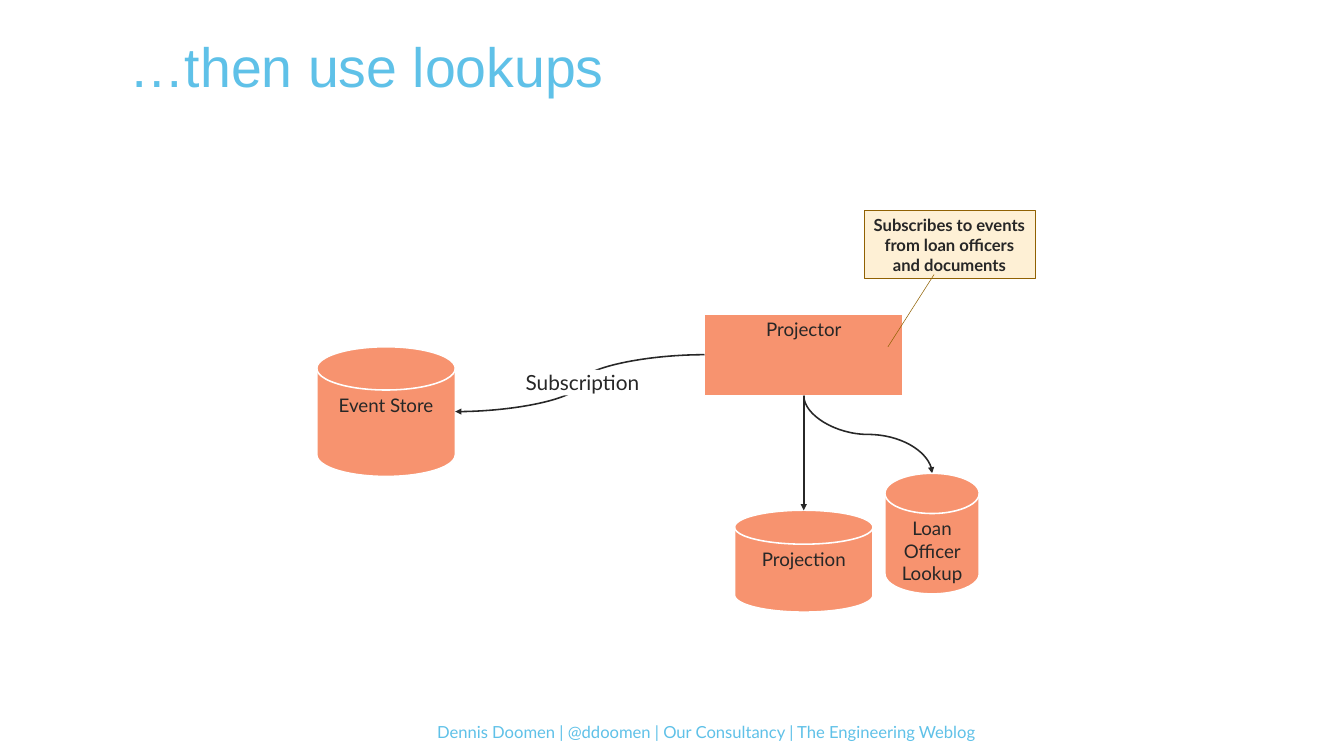
"""Build the slide about projecting events with a lookup."""
from dataclasses import dataclass
from typing import Optional

from lxml.etree import SubElement
from pptx import Presentation
from pptx.dml.color import RGBColor
from pptx.enum.shapes import MSO_CONNECTOR, MSO_SHAPE
from pptx.enum.text import MSO_ANCHOR, MSO_AUTO_SIZE, PP_ALIGN
from pptx.oxml.ns import qn
from pptx.util import Pt

SKY = RGBColor(0x5F, 0xC1, 0xE8)
CORAL = RGBColor(0xF7, 0x93, 0x6F)
CREAM = RGBColor(0xFE, 0xF0, 0xD5)
BROWN = RGBColor(0x90, 0x61, 0x03)
INK = RGBColor(0x27, 0x27, 0x27)
WHITE = RGBColor(0xFF, 0xFF, 0xFF)
QUARTER_TURN = "5400000"


@dataclass(frozen=True)
class Node:
    text: str
    kind: MSO_SHAPE
    left: float
    top: float
    width: float
    height: float
    fill: RGBColor = CORAL
    line: Optional[RGBColor] = WHITE
    line_width: float = 1.5
    size: float = 18
    bold: bool = False
    align: PP_ALIGN = PP_ALIGN.CENTER
    anchor: MSO_ANCHOR = MSO_ANCHOR.TOP
    margin: Optional[float] = None
    adjustments: tuple[float, ...] = ()


@dataclass(frozen=True)
class Curve:
    start: tuple[float, float]
    end: tuple[float, float]
    vertical: bool = False


EVENT_STORE = Node("Event Store", MSO_SHAPE.FLOWCHART_MAGNETIC_DISK, 304.6, 333.4, 133.2, 124.6)
PROJECTOR = Node("Projector", MSO_SHAPE.RECTANGLE, 677.5, 301.7, 190.8, 78.5)
LABEL = Node("Subscription", MSO_SHAPE.RECTANGLE, 505.4, 355.7, 144.7, 24.5, fill=WHITE,
             line=None, size=20, align=PP_ALIGN.LEFT, margin=0)
PROJECTION = Node("Projection", MSO_SHAPE.FLOWCHART_MAGNETIC_DISK, 706.3, 490.5, 133.2, 97.9)
CALLOUT = Node("Subscribes to events from loan officers and documents", MSO_SHAPE.LINE_CALLOUT_1,
               830.9, 202.3, 164.2, 65.5, fill=CREAM, line=BROWN, line_width=0.5, size=16,
               bold=True, anchor=MSO_ANCHOR.MIDDLE, adjustments=(0.94, 0.41, 2, 0.14))
LOOKUP = Node("Loan Officer Lookup", MSO_SHAPE.FLOWCHART_MAGNETIC_DISK, 851, 455, 90.7, 115.9)

PROJECTOR_BOTTOM = (PROJECTOR.left + PROJECTOR.width / 2, PROJECTOR.top + PROJECTOR.height)
SUBSCRIPTION = Curve((PROJECTOR.left, PROJECTOR.top + PROJECTOR.height / 2),
                     (EVENT_STORE.left + EVENT_STORE.width,
                      EVENT_STORE.top + EVENT_STORE.height / 2))
TO_LOOKUP = Curve(PROJECTOR_BOTTOM, (LOOKUP.left + LOOKUP.width / 2, LOOKUP.top), True)
TO_PROJECTION = Curve(PROJECTOR_BOTTOM,
                      (PROJECTION.left + PROJECTION.width / 2, PROJECTION.top), True)


def format_line(shape, text: str, size: float, color: RGBColor, font: str = "Lato",
                align: PP_ALIGN = PP_ALIGN.CENTER, bold: bool = False):
    """Write one paragraph into a shape and return it."""
    frame = shape.text_frame
    frame.word_wrap = True
    frame.auto_size = MSO_AUTO_SIZE.NONE
    paragraph = frame.paragraphs[0]
    paragraph.text = text
    paragraph.alignment = align
    paragraph.font.name = font
    paragraph.font.size = Pt(size)
    paragraph.font.bold = bold
    paragraph.font.color.rgb = color
    return paragraph


def indent(paragraph) -> None:
    """Apply the indent and tight line spacing of title and footer."""
    paragraph.line_spacing = 0.9
    properties = paragraph._p.get_or_add_pPr()
    properties.set("marL", str(Pt(28.8)))
    properties.set("indent", "0")


def draw_node(slide, node: Node) -> None:
    """Draw a filled shape with its text."""
    shape = slide.shapes.add_shape(node.kind, Pt(node.left), Pt(node.top),
                                   Pt(node.width), Pt(node.height))
    shape.shadow.inherit = False
    shape.fill.solid()
    shape.fill.fore_color.rgb = node.fill
    if node.line is None:
        shape.line.fill.background()
    else:
        shape.line.color.rgb = node.line
        shape.line.width = Pt(node.line_width)
    for index, value in enumerate(node.adjustments):
        shape.adjustments[index] = value
    format_line(shape, node.text, node.size, INK, align=node.align, bold=node.bold)
    frame = shape.text_frame
    frame.vertical_anchor = node.anchor
    if node.margin is not None:
        frame.margin_left = frame.margin_right = Pt(node.margin)
        frame.margin_top = frame.margin_bottom = Pt(node.margin)


def draw_curve(slide, curve: Curve) -> None:
    """Draw a curved arrow, turned a quarter when it leaves downwards."""
    (x1, y1), (x2, y2) = curve.start, curve.end
    if curve.vertical:
        middle_x, middle_y = (x1 + x2) / 2, (y1 + y2) / 2
        half_x, half_y = (x2 - x1) / 2, (y2 - y1) / 2
        x1, y1 = middle_x - half_y, middle_y + half_x
        x2, y2 = middle_x + half_y, middle_y - half_x
    connector = slide.shapes.add_connector(MSO_CONNECTOR.CURVE, Pt(x1), Pt(y1), Pt(x2), Pt(y2))
    connector.line.color.rgb = INK
    connector.line.width = Pt(1.5)
    properties = connector._element.spPr
    if curve.vertical:
        properties.find(qn("a:xfrm")).set("rot", QUARTER_TURN)
    SubElement(properties.find(qn("a:ln")), qn("a:tailEnd"), type="triangle")
    SubElement(properties, qn("a:effectLst"))


def draw_title(slide, text: str) -> None:
    """Place and format the title placeholder."""
    title = slide.shapes.title
    title.left, title.top, title.width, title.height = Pt(88.6), Pt(-2.9), Pt(1114.6), Pt(139)
    indent(format_line(title, text, 53.3, SKY, "Arial", PP_ALIGN.LEFT))
    title.text_frame.vertical_anchor = MSO_ANCHOR.MIDDLE


def draw_footer(slide, text: str) -> None:
    """Write the speaker line at the foot of the slide."""
    footer = slide.shapes.add_textbox(Pt(108), Pt(692.6), Pt(1113.8), Pt(24.5))
    indent(format_line(footer, text, 16, SKY))


def main() -> None:
    """Build and save the presentation."""
    presentation = Presentation()
    presentation.slide_width, presentation.slide_height = Pt(1292.4), Pt(720)
    slide = presentation.slides.add_slide(presentation.slide_layouts[5])
    draw_footer(slide, "Dennis Doomen | @ddoomen | Our Consultancy | The Engineering Weblog")
    draw_title(slide, "…then use lookups")
    for item in (EVENT_STORE, PROJECTOR, SUBSCRIPTION, LABEL, PROJECTION,
                 TO_LOOKUP, CALLOUT, LOOKUP, TO_PROJECTION):
        if isinstance(item, Node):
            draw_node(slide, item)
        else:
            draw_curve(slide, item)
    presentation.save("out.pptx")


if __name__ == "__main__":
    main()
